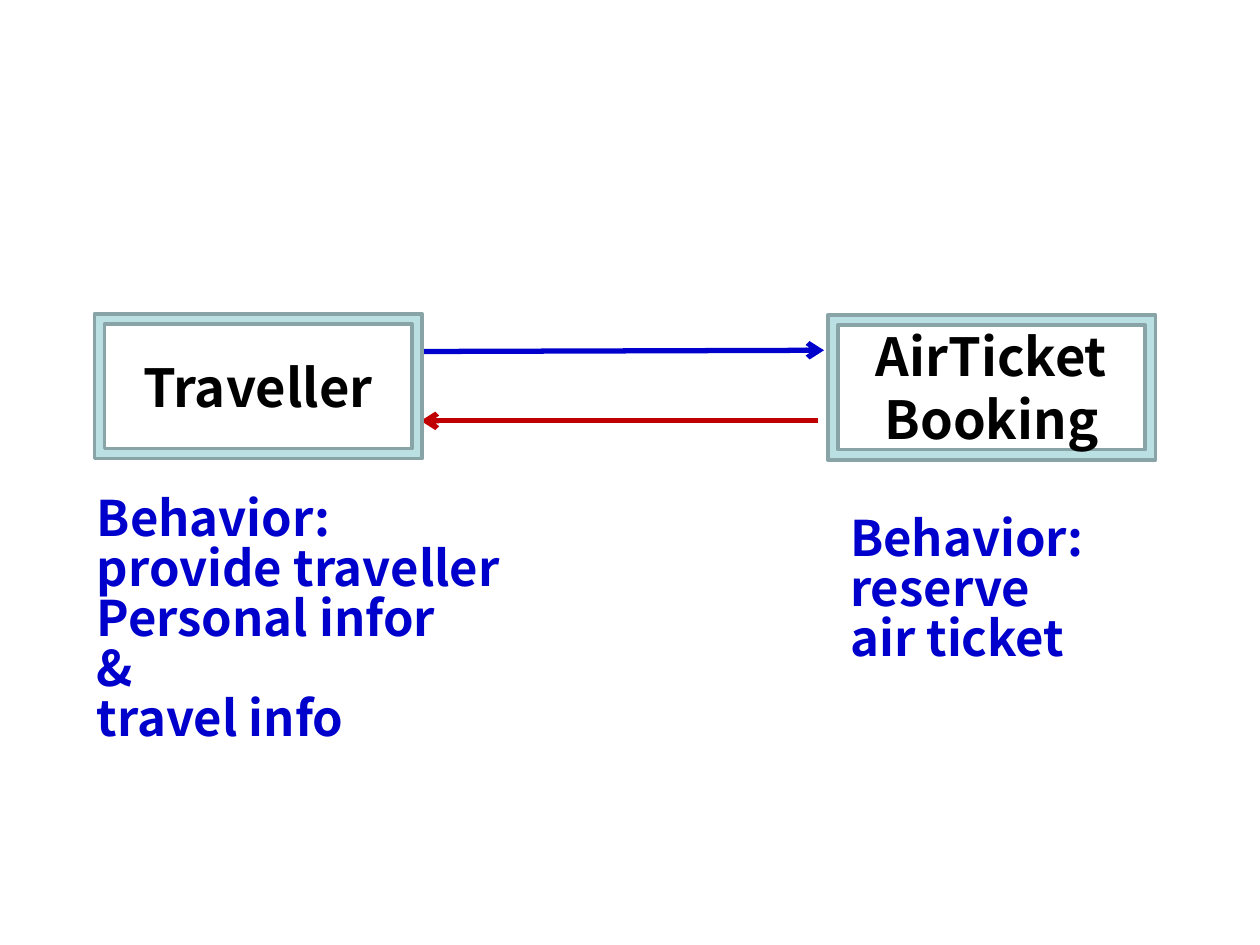
from dataclasses import dataclass

from lxml.etree import SubElement
from pptx import Presentation
from pptx.dml.color import RGBColor
from pptx.enum.shapes import MSO_CONNECTOR, MSO_SHAPE
from pptx.enum.text import MSO_ANCHOR, MSO_AUTO_SIZE, PP_ALIGN
from pptx.oxml.ns import qn
from pptx.util import Inches, Pt


@dataclass(frozen=True)
class Theme:
    font: str = "Noto Sans CJK SC"
    frame_fill: RGBColor = RGBColor(0xBB, 0xE0, 0xE3)
    frame_line: RGBColor = RGBColor(0x89, 0xA4, 0xA7)
    name_color: RGBColor = RGBColor(0, 0, 0)
    request: RGBColor = RGBColor(0, 0, 0xCC)
    reply: RGBColor = RGBColor(0xC0, 0, 0)
    name_size: int = 30
    behavior_size: int = 28
    frame_width: float = 2
    arrow_width: float = 3
    frame_band: float = 0.07


THEME = Theme()
PAGE_WIDTH, PAGE_HEIGHT = 10, 7.5
ROLE_WIDTH, ROLE_HEIGHT = 0.26, 1.15 / PAGE_HEIGHT


def across(share):
    return Inches(PAGE_WIDTH * share)


def down(share):
    return Inches(PAGE_HEIGHT * share)


def place(box):
    left, top, width, height = box
    return across(left), down(top), across(width), down(height)


def write_lines(frame, lines, size, color, align, spacing):
    frame.text = "\n".join(lines)
    for para in frame.paragraphs:
        para.alignment = align
        para.line_spacing = spacing
        para.font.name = THEME.font
        para.font.size = Pt(size)
        para.font.bold = True
        para.font.color.rgb = color


def add_role(page, box, lines):
    role = page.shapes.add_shape(MSO_SHAPE.FRAME, *place(box))
    role.adjustments[0] = THEME.frame_band
    role.shadow.inherit = False
    role.fill.solid()
    role.fill.fore_color.rgb = THEME.frame_fill
    role.line.color.rgb = THEME.frame_line
    role.line.width = Pt(THEME.frame_width)
    frame = role.text_frame
    frame.word_wrap = True
    frame.vertical_anchor = MSO_ANCHOR.MIDDLE
    frame.margin_top = frame.margin_bottom = 0
    write_lines(frame, lines, THEME.name_size, THEME.name_color, PP_ALIGN.CENTER, 1.0)


def add_behavior(page, box, lines):
    frame = page.shapes.add_textbox(*place(box)).text_frame
    frame.word_wrap = True
    frame.auto_size = MSO_AUTO_SIZE.SHAPE_TO_FIT_TEXT
    write_lines(frame, lines, THEME.behavior_size, THEME.request, PP_ALIGN.LEFT, 0.85)


def add_message(page, start, end, color):
    arrow = page.shapes.add_connector(
        MSO_CONNECTOR.STRAIGHT,
        across(start[0]), down(start[1]), across(end[0]), down(end[1]),
    )
    arrow.line.color.rgb = color
    arrow.line.width = Pt(THEME.arrow_width)
    SubElement(arrow.line._get_or_add_ln(), qn("a:tailEnd"), type="arrow")
    SubElement(arrow._element.spPr, qn("a:effectLst"))


def build_deck():
    deck = Presentation()
    deck.slide_width, deck.slide_height = Inches(PAGE_WIDTH), Inches(PAGE_HEIGHT)
    page = deck.slides.add_slide(deck.slide_layouts[6])
    add_role(page, (0.657, 2.5 / PAGE_HEIGHT, ROLE_WIDTH, ROLE_HEIGHT), ["AirTicket", "Booking"])
    add_behavior(page, (0.665, 0.54, 0.22, 0.17), ["Behavior:", "reserve", "air ticket"])
    add_behavior(
        page,
        (0.067, 3.89 / PAGE_HEIGHT, 0.344, 0.33),
        ["Behavior:", "provide traveller", "Personal infor", "&", "travel info"],
    )
    add_message(page, (0.33, 2.79 / PAGE_HEIGHT), (0.654, 2.78 / PAGE_HEIGHT), THEME.request)
    add_message(page, (0.649, 3.34 / PAGE_HEIGHT), (0.334, 3.34 / PAGE_HEIGHT), THEME.reply)
    add_role(page, (0.075, 2.49 / PAGE_HEIGHT, ROLE_WIDTH, ROLE_HEIGHT), ["Traveller"])
    deck.save("out.pptx")


if __name__ == "__main__":
    build_deck()
